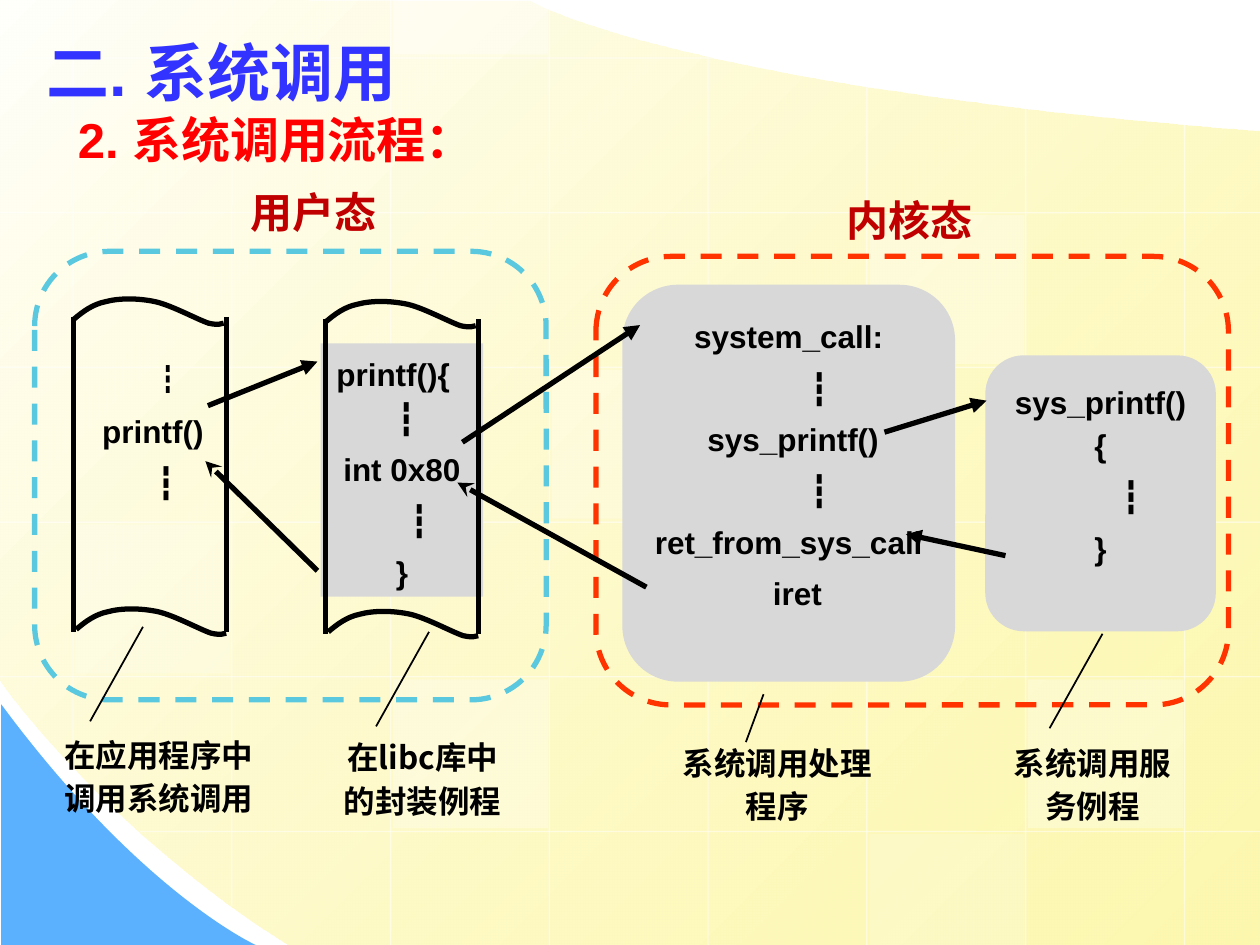
from dataclasses import dataclass

from lxml.etree import SubElement
from pptx import Presentation
from pptx.dml.color import RGBColor
from pptx.enum.dml import MSO_LINE_DASH_STYLE as DASH
from pptx.enum.shapes import MSO_CONNECTOR as CONN, MSO_SHAPE as SHAPE
from pptx.enum.text import MSO_ANCHOR as ANCHOR, PP_ALIGN as ALIGN
from pptx.oxml.ns import qn
from pptx.util import Inches, Pt


@dataclass(frozen=True)
class Theme:
    """Colours, fonts and sizes of the slide."""
    white: str = "FFFFFF"
    ink: str = "000000"
    cream: str = "FFFFFB"
    yellow: str = "FDF58D"
    blue: str = "5CB1FE"
    user: str = "5AC8DE"
    kernel: str = "FF3300"
    panel: str = "D8D8D8"
    title: str = "3333FF"
    subtitle: str = "FF0000"
    state: str = "C00000"
    latin: str = "Arial"
    cjk: str = "Noto Sans CJK SC"
    title_pt: int = 36
    subtitle_pt: int = 28
    state_pt: int = 24
    body_pt: int = 18
    heavy: float = 3
    thin: float = 1
    hair: float = 0.75


T = Theme()
COLS, ROWS = 100, 75
prs = Presentation()
prs.slide_width, prs.slide_height = Inches(10), Inches(7.5)
UNIT = prs.slide_width / COLS


def u(n):
    """Turn grid columns or rows into a length."""
    return int(n * UNIT)


def inside(box, dx, dy, w, h):
    """Return a box offset from the corner of another."""
    return box[0] + dx, box[1] + dy, w, h


def set_alpha(el, percent):
    """Make the last colour in an element partly transparent."""
    SubElement(list(el.iter(qn("a:srgbClr")))[-1], qn("a:alpha"), val=str(percent * 1000))


def paint(s, fill=None, line=None, alpha=None):
    """Set the fill and outline of a shape."""
    s.shadow.inherit = False
    if fill:
        s.fill.solid()
        s.fill.fore_color.rgb = RGBColor.from_string(fill)
    else:
        s.fill.background()
    if alpha:
        set_alpha(s.element.spPr, alpha)
    if line:
        s.line.color.rgb = RGBColor.from_string(line)
        s.line.width = Pt(T.heavy)
    else:
        s.line.fill.background()
    return s


def block(sh, kind, box, **look):
    """Add a painted preset shape."""
    return paint(sh.add_shape(kind, *map(u, box)), **look)


def line(sh, start, end, color=T.ink, width=T.heavy, head=None, tail=None, alpha=None):
    """Add a straight line with optional arrowheads."""
    c = sh.add_connector(CONN.STRAIGHT, *map(u, start + end))
    c.line.color.rgb = RGBColor.from_string(color)
    c.line.width = Pt(width)
    if alpha:
        set_alpha(c.element.spPr, alpha)
    for tag, kind in (("a:headEnd", head), ("a:tailEnd", tail)):
        if kind:
            SubElement(c.line._get_or_add_ln(), qn(tag), type=kind)
    SubElement(c.element.spPr, qn("a:effectLst"))


def outline(sh, start, steps, close=False, **look):
    """Add an outline of straight (x, y) and cubic (six number) steps."""
    pts = [(u(c[i]), u(c[i + 1])) for c in steps for i in range(0, len(c), 2)]
    fb = sh.build_freeform(*map(u, start))
    fb.add_line_segments(pts, close=close)
    s = fb.convert_to_shape()
    segments = iter(list(s.element.iter(qn("a:lnTo"))))
    for step in steps:
        first = next(segments)
        if len(step) == 6:
            first.tag = qn("a:cubicBezTo")
            for _ in range(2):
                extra = next(segments)
                first.append(extra[0])
                extra.getparent().remove(extra)
    return paint(s, **look)


def write(s, *paras, size=T.body_pt, color=T.ink, font=T.latin, align=ALIGN.CENTER,
          anchor=ANCHOR.TOP, before=4.5, indent=0, bottom=0.5):
    """Write paragraphs into a shape."""
    tf = s.text_frame
    tf.word_wrap, tf.vertical_anchor = True, anchor
    tf.margin_left = tf.margin_right = u(1)
    tf.margin_top, tf.margin_bottom = u(0.5), u(bottom)
    for i, text in enumerate(paras):
        p = tf.add_paragraph() if i else tf.paragraphs[0]
        p.text, p.alignment, p.line_spacing = text, align, 1.15
        p.space_before = Pt(before if i else 0)
        p._p.get_or_add_pPr().set("marL", str(u(indent)))
        for r in p.runs:
            f = r.font
            f.size, f.bold, f.name = Pt(size), True, font
            f.color.rgb = RGBColor.from_string(color)
            SubElement(r._r.get_or_add_rPr(), qn("a:ea"), typeface=T.cjk)


def label(sh, box, *paras, **fmt):
    """Add a text box."""
    write(sh.add_textbox(*map(u, box)), *paras, **fmt)


def backdrop(sh):
    """Draw the curved background with its grid and tiles."""
    s = outline(sh, (COLS, 10.4),
                [(COLS, 42.7, COLS, ROWS, COLS, ROWS), (COLS, ROWS, 61.5, ROWS, 23, ROWS),
                 (8.6, 66.1, -0.1, 53.9, 0, 53.9), (-0.1, -0.1),
                 (42.1, 0.1), (42.1, 0.1, 53.7, 6.9, COLS, 10.4)], close=True)
    s.fill.gradient()
    s.fill.gradient_angle = 315
    for stop, color in zip(s.fill.gradient_stops, (T.cream, T.yellow)):
        stop.color.rgb = RGBColor.from_string(color)
    set_alpha(s.element.spPr.find(qn("a:gradFill")), 70)
    outline(sh, (0.1, 55.9), [(0.1, 65.5, 0.1, ROWS, 0.1, ROWS), (20.3, ROWS),
                              (20.3, ROWS, 11.2, 70.9, 0.1, 55.9)], close=True, fill=T.blue)
    xs = [5.8 + 12.6 * i for i in range(8)]
    ys = [4.6 + 12.28 * i for i in range(6)]
    hair = dict(color=T.white, width=T.hair, alpha=50)
    for x, top, low in zip(xs, (0, 0, 0, 0, 4.3, 6.8, 8.5, 9.8), (60.9, 71.9) + (ROWS,) * 6):
        line(sh, (x, top), (x, low), **hair)
    for y, left, right in zip(ys, (0, 0, 0, 0, 0, 11.1), (56.8,) + (COLS,) * 5):
        line(sh, (right, y), (left, y), **hair)
    for col, row, alpha in ((3, 2, 25), (6, 4, 30), (0, 3, 20), (5, 5, 20),
                            (2, -1, 40), (2, 4, 30), (5, 1, 30)):
        y = ys[0] + 12.28 * row + 0.2
        top, low = max(y, 0), min(y + 11.8, ROWS)
        block(sh, SHAPE.RECTANGLE, (xs[col] + 0.2, top, 12.3, low - top),
              fill=T.white, alpha=alpha)


def headings(sh, box):
    """Write the title and subtitle."""
    label(sh, inside(box, 2.7, 2.1, 90, 6.3), "二. 系统调用", size=T.title_pt, color=T.title,
          align=ALIGN.LEFT, anchor=ANCHOR.MIDDLE)
    label(sh, inside(box, 0.2, 7.5, 72.4, 7.1), "2. 系统调用流程：", size=T.subtitle_pt,
          color=T.subtitle, align=ALIGN.LEFT, indent=5)


def scroll(sh, x, y):
    """Draw a sheet with wavy ends."""
    for side in (x, x + 12.1):
        line(sh, (side, y + 1.5), (side, y + 26.5))
    for wx, wy in ((x, y), (x + 0.2, y + 24.6)):
        steps = ((0.7, 1.1, 1.5, 0.5, 2.5, 0.3), (3.6, 0, 5.1, 0, 6.5, 0.3),
                 (7.8, 0.6, 9.8, 1.7, 10.7, 2), (11.6, 2.2, 11.7, 2, 11.9, 2))
        outline(sh, (wx, wy + 1.7),
                [tuple(v + (wy if i % 2 else wx) for i, v in enumerate(c)) for c in steps],
                line=T.ink)


def frame(sh, box, name, color, dx, dy):
    """Draw the dashed frame of a state and its name."""
    s = block(sh, SHAPE.ROUNDED_RECTANGLE, box, line=color)
    s.line.dash_style = DASH.DASH
    label(sh, inside(box, dx, dy, 13.5, 5.6), name, size=T.state_pt, color=T.state, font=T.cjk)


def caption(sh, box, text, start, rise):
    """Write a caption and draw its leader line."""
    label(sh, box, text, font=T.cjk)
    x, y = box[0] + start[0], box[1] + start[1]
    line(sh, (x, y), (x + rise[0], y - rise[1]), width=T.thin)


def user_state(sh, box):
    """Draw the application and library side."""
    frame(sh, box, "用户态", T.user, 15.4, -6.2)
    scroll(sh, box[0] + 3.1, box[1] + 3.7)
    label(sh, inside(box, 2.9, 7.7, 12.3, 12.6), "　 ┇", " printf()", "    ┇")
    s = block(sh, SHAPE.RECTANGLE, inside(box, 22.7, 7.3, 12.9, 20.1), fill=T.panel)
    write(s, "printf(){    ┇", "int 0x80", "    ┇", "}")
    scroll(sh, box[0] + 23.1, box[1] + 3.9)
    caption(sh, inside(box, 0.6, 37.5, 18.5, 7.9), "在应用程序中调用系统调用", (3.8, -0.2), (4.2, 7.5))
    caption(sh, inside(box, 22.9, 37.7, 15.8, 7.9), "在libc库中的封装例程", (4.2, 0), (4.2, 7.5))


def kernel_state(sh, box):
    """Draw the handler and service routine side."""
    frame(sh, box, "内核态", T.kernel, 18.1, -6)
    dots = "       ┇"
    panels = (((2.1, 2.25, 26.4, 31.5), ("system_call:", dots, " sys_printf()", dots,
                                         "ret_from_sys_call", "  iret")),
              ((30.9, 7.85, 18.3, 21.9), ("sys_printf(){", dots, "}")))
    for place, code in panels:
        s = block(sh, SHAPE.ROUNDED_RECTANGLE, inside(box, *place), fill=T.panel)
        write(s, *code, anchor=ANCHOR.MIDDLE, bottom=3.9)
    caption(sh, inside(box, 4.8, 37.75, 19.2, 7.9), "系统调用处理程序", (7.1, 0.8), (1.4, 3.8))
    caption(sh, inside(box, 31.5, 37.75, 15.8, 7.9), "系统调用服务例程", (4.5, -0.3), (4.2, 7.5))


def call_flow(sh):
    """Draw the call and return arrows."""
    for start, end in (((16.5, 32.2), (25.2, 28.7)), ((36.7, 35.1), (50.8, 25.8)),
                       ((70.2, 34.3), (78.3, 31.8)), ((79.8, 44.1), (71.9, 42.4))):
        line(sh, start, end, tail="triangle")
    for start, end in (((16.3, 36.6), (25.2, 45.3)), ((36.3, 38.3), (51.3, 46.6))):
        line(sh, start, end, head="stealth")


def main():
    """Build and save the slide."""
    sh = prs.slides.add_slide(prs.slide_layouts[6]).shapes
    backdrop(sh)
    user_state(sh, (2.75, 19.95, 40.6, 35.6))
    kernel_state(sh, (47.3, 20.35, 50.2, 35.6))
    call_flow(sh)
    headings(sh, (0, 0, COLS, 15))
    prs.save("out.pptx")


if __name__ == "__main__":
    main()
